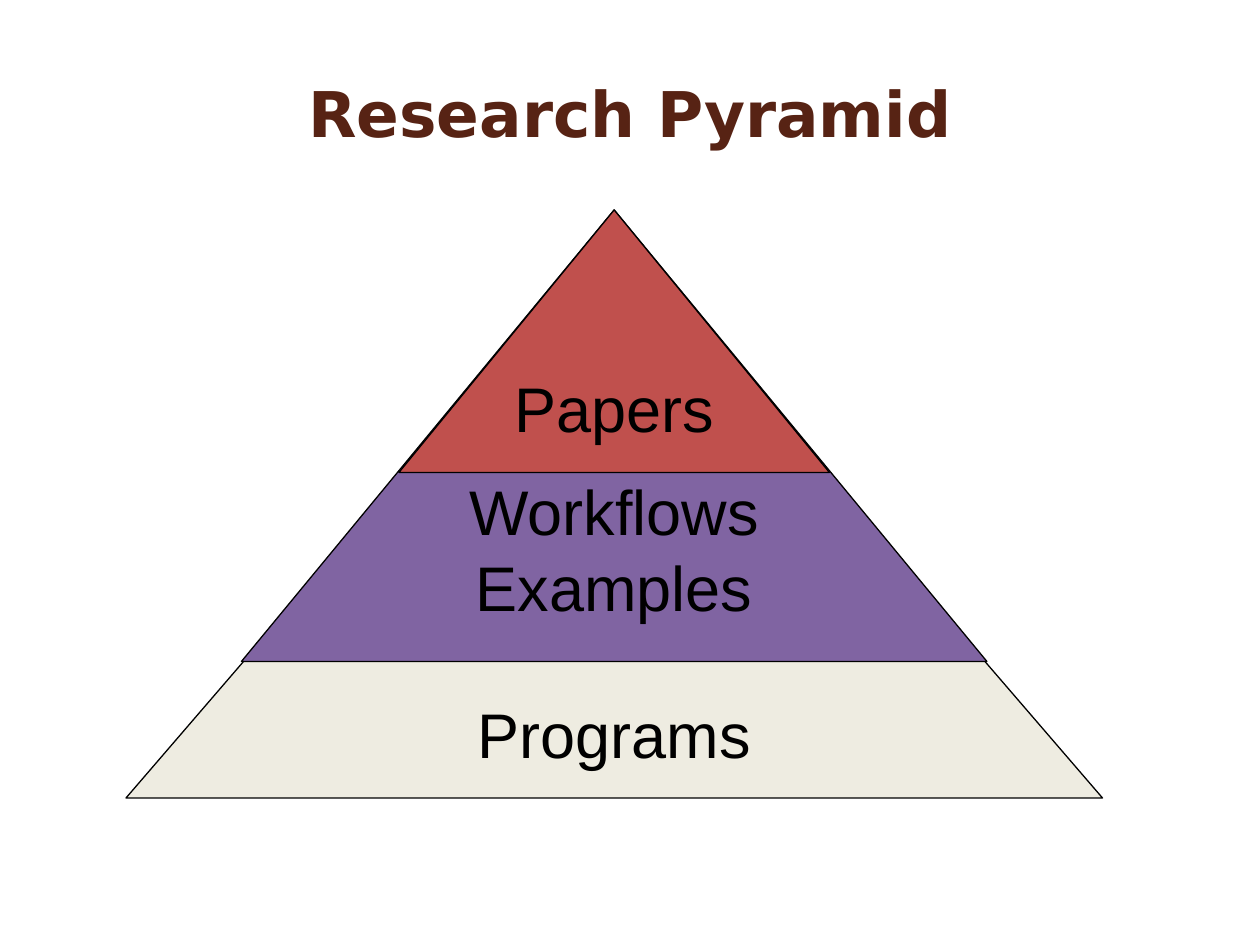
import pptx
import pptx.util
import pptx.dml.color
import pptx.enum.shapes
import pptx.enum.text
from pptx.util import Pt

# Content: tiers from back to front, lengths in points
TITLE = "Research Pyramid"
TIERS = [
    dict(lines=["Programs"], fill="EEECE1", top=132, width=558, height=324, lift=15.5),
    dict(lines=["Workflows", "Examples"], fill="8064A2", top=120, width=426, height=258, lift=21.5),
    dict(lines=["Papers"], fill="C0504D", top=120, width=246, height=150, lift=15.5),
]
AXIS = 351
THEME = dict(
    title=dict(name="DejaVu Sans", size=Pt(36), bold=True, color="572314"),
    label=dict(name="Arial", size=Pt(36), bold=False, color="000000"),
    outline="000000", outline_width=Pt(0.74), leading=Pt(43.4),
)


def rgb(value):
    return pptx.dml.color.RGBColor.from_string(value)


def write(shape, lines, style, frame_format, leading=None):
    frame = shape.text_frame
    for name, value in frame_format.items():
        setattr(frame, name, value)
    for index, line in enumerate(lines):
        para = frame.paragraphs[0] if index == 0 else frame.add_paragraph()
        para.alignment = pptx.enum.text.PP_ALIGN.CENTER
        para.line_spacing = leading
        span = para.add_run()
        span.text = line
        for name, value in style.items():
            if name == "color":
                span.font.color.rgb = rgb(value)
            else:
                setattr(span.font, name, value)


deck = pptx.Presentation()
deck.slide_width, deck.slide_height = Pt(720), Pt(540)
page = deck.slides.add_slide(deck.slide_layouts[6])

# Pyramid: nested triangles centred on one axis
for tier in TIERS:
    triangle = page.shapes.add_shape(
        pptx.enum.shapes.MSO_SHAPE.ISOSCELES_TRIANGLE,
        Pt(AXIS - tier["width"] / 2), Pt(tier["top"]), Pt(tier["width"]), Pt(tier["height"]))
    triangle.shadow.inherit = False
    triangle.fill.solid()
    triangle.fill.fore_color.rgb = rgb(tier["fill"])
    triangle.line.color.rgb = rgb(THEME["outline"])
    triangle.line.width = THEME["outline_width"]
    write(triangle, tier["lines"], THEME["label"],
          dict(word_wrap=False, margin_bottom=Pt(tier["lift"]),
               vertical_anchor=pptx.enum.text.MSO_ANCHOR.BOTTOM),
          THEME["leading"])

# Title
box = page.shapes.add_textbox(Pt(30), Pt(31), Pt(660), Pt(66))
write(box, [TITLE], THEME["title"],
      dict(word_wrap=True, vertical_anchor=pptx.enum.text.MSO_ANCHOR.MIDDLE))

deck.save("out.pptx")
